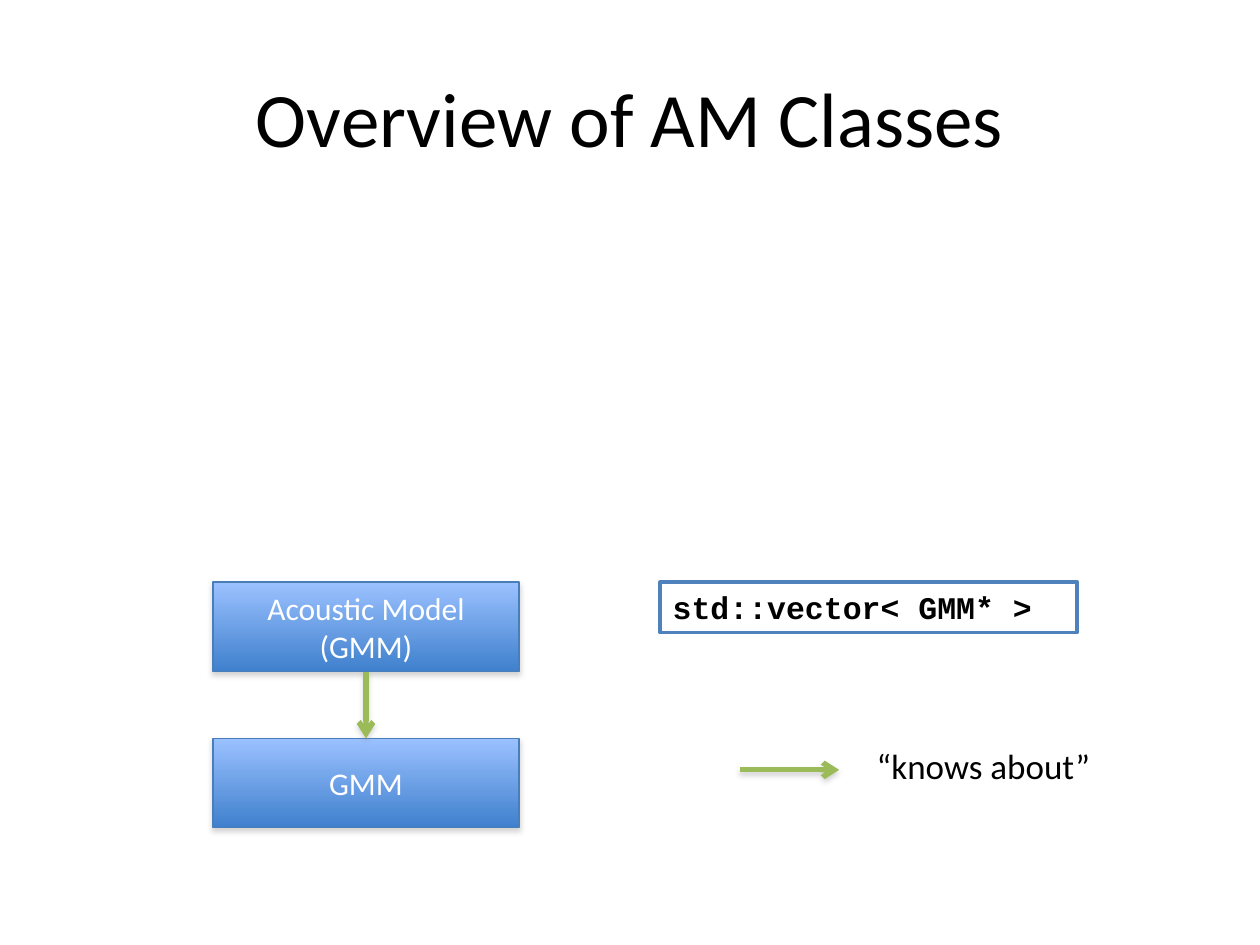
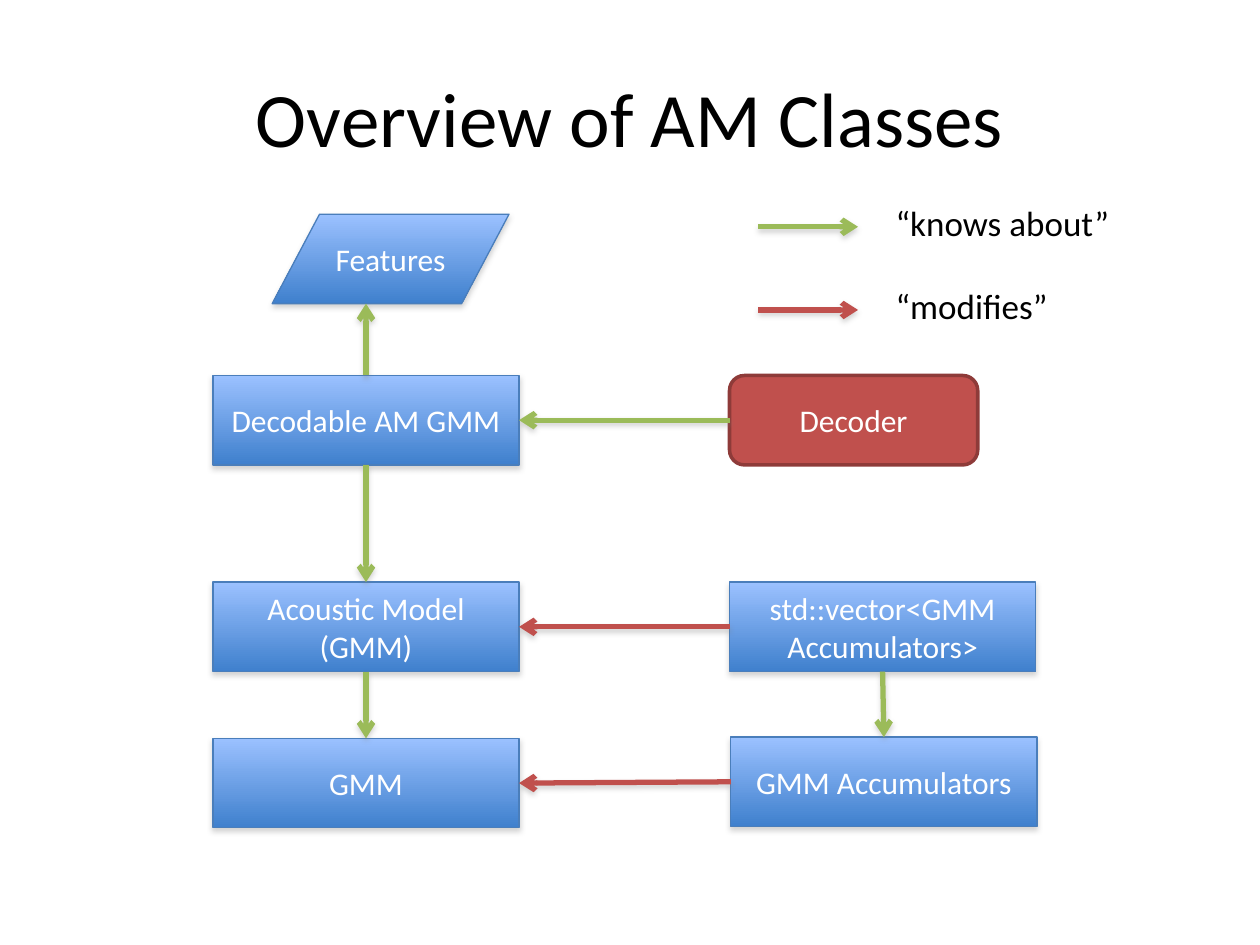
from lxml.etree import SubElement
from pptx import Presentation
from pptx.dml.color import RGBColor
from pptx.enum.shapes import MSO_CONNECTOR, MSO_SHAPE
from pptx.enum.text import MSO_ANCHOR, PP_ALIGN
from pptx.oxml.ns import qn
from pptx.util import Inches, Pt

BLACK = RGBColor(0x00, 0x00, 0x00)
WHITE = RGBColor(0xFF, 0xFF, 0xFF)
BLUE_TOP = RGBColor(0x9B, 0xC1, 0xFF)
BLUE_BOTTOM = RGBColor(0x3F, 0x80, 0xCD)
BLUE_EDGE = RGBColor(0x4A, 0x7E, 0xBB)
CODE_EDGE = RGBColor(0x4F, 0x81, 0xBD)
RED = RGBColor(0xC0, 0x50, 0x4D)
RED_EDGE = RGBColor(0x8E, 0x3B, 0x39)
GREEN = RGBColor(0x9B, 0xBB, 0x59)
SHADOW = RGBColor(0x80, 0x80, 0x80)

TITLE = "Overview of AM Classes"
KNOWS, MODIFIES = ("“knows about”", GREEN), ("“modifies”", RED)

# Grid of the diagram, in inches
LEFT_COL, RIGHT_COL = 1.69, 5.79
FEATURES_ROW, DECODE_ROW, MODEL_ROW, GMM_ROW = 1.7, 2.98, 4.62, 5.86
BOX_W, BOX_H = 2.43, 0.71
LEGEND_ARROW, LEGEND_TEXT, LEGEND_STEP = 0.79, 0.99, 0.66

TOP, LEFT, BOTTOM, RIGHT = range(4)


def write(sp, text, size, color, font="Calibri", bold=False,
          align=PP_ALIGN.CENTER, anchor=MSO_ANCHOR.MIDDLE):
    tf = sp.text_frame
    tf.word_wrap = True
    tf.vertical_anchor = anchor
    p = tf.paragraphs[0]
    p.alignment = align
    r = p.add_run()
    r.text = text
    r.font.name, r.font.size, r.font.bold = font, Pt(size), bold
    r.font.color.rgb = color


def add_text(s, x, y, w, h, text, size, **style):
    sp = s.shapes.add_textbox(Inches(x), Inches(y), Inches(w), Inches(h))
    write(sp, text, size, BLACK, **style)


def add_soft_shadow(sp):
    """Give a shape or connector the soft grey shadow below it."""
    effects = sp._element.spPr.find(qn("a:effectLst"))
    if effects is None:
        effects = SubElement(sp._element.spPr, qn("a:effectLst"))
    shadow = SubElement(effects, qn("a:outerShdw"), blurRad=str(Pt(3.1)),
                        dist=str(Pt(1.8)), dir="5400000", rotWithShape="0")
    color = SubElement(shadow, qn("a:srgbClr"), val=str(SHADOW))
    SubElement(color, qn("a:alpha"), val="35000")


def add_shape(s, kind, x, y, w, h, edge, edge_width):
    sp = s.shapes.add_shape(kind, Inches(x), Inches(y), Inches(w), Inches(h))
    sp.shadow.inherit = False
    sp.line.color.rgb = edge
    sp.line.width = Pt(edge_width)
    return sp


def add_class_box(s, x, y, text, w=BOX_W, kind=MSO_SHAPE.RECTANGLE):
    sp = add_shape(s, kind, x, y, w, BOX_H, BLUE_EDGE, 0.75)
    sp.fill.gradient()
    sp.fill.gradient_angle = 270
    for stop, color in zip(sp.fill.gradient_stops, (BLUE_TOP, BLUE_BOTTOM)):
        stop.color.rgb = color
    add_soft_shadow(sp)
    write(sp, text, 18, WHITE)
    return sp


def add_solid_shape(s, kind, x, y, w, h, fill, edge):
    sp = add_shape(s, kind, x, y, w, h, edge, 2)
    sp.fill.solid()
    sp.fill.fore_color.rgb = fill
    return sp


def add_arrow(s, color, x1=0, y1=0, x2=0, y2=0):
    line = s.shapes.add_connector(MSO_CONNECTOR.STRAIGHT, Inches(x1),
                                  Inches(y1), Inches(x2), Inches(y2))
    line.line.color.rgb = color
    line.line.width = Pt(3)
    SubElement(line.line._get_or_add_ln(), qn("a:tailEnd"), type="arrow")
    add_soft_shadow(line)
    return line


def join(s, color, start, start_side, end, end_side):
    line = add_arrow(s, color)
    line.begin_connect(start, start_side)
    line.end_connect(end, end_side)


def add_legend(s, x, y, *entries):
    for i, (text, color) in enumerate(entries):
        row = y + i * LEGEND_STEP
        add_arrow(s, color, x, row, x + LEGEND_ARROW, row)
        add_text(s, x + LEGEND_TEXT, row - 0.25, 2, 0.44, text, 20,
                 align=PP_ALIGN.LEFT, anchor=MSO_ANCHOR.TOP)


def add_model_slide(prs):
    """Add a slide with the title and the model pair that all slides share."""
    s = prs.slides.add_slide(prs.slide_layouts[6])
    add_text(s, 0.5, 0.3, 9, 1.25, TITLE, 44)
    gmm = add_class_box(s, LEFT_COL, GMM_ROW, "GMM")
    model = add_class_box(s, LEFT_COL, MODEL_ROW, "Acoustic Model (GMM)")
    join(s, GREEN, model, BOTTOM, gmm, TOP)
    return s, model, gmm


def build_model_slide(prs):
    s, _, _ = add_model_slide(prs)
    code = add_solid_shape(s, MSO_SHAPE.RECTANGLE, 5.24, MODEL_ROW, 3.31, 0.4,
                           WHITE, CODE_EDGE)
    write(code, "std::vector< GMM* >", 18, BLACK, font="Courier New",
          bold=True, align=PP_ALIGN.LEFT, anchor=MSO_ANCHOR.TOP)
    add_legend(s, 5.87, 6.11, KNOWS)


def build_decoder_slide(prs):
    s, model, gmm = add_model_slide(prs)
    accumulator = add_class_box(s, RIGHT_COL + 0.01, GMM_ROW - 0.01,
                                "GMM Accumulators")
    vector = add_class_box(s, RIGHT_COL, MODEL_ROW,
                           "std::vector<GMM Accumulators>")
    decodable = add_class_box(s, LEFT_COL, DECODE_ROW, "Decodable AM GMM")
    add_class_box(s, 2.16, FEATURES_ROW, "Features", w=1.88,
                  kind=MSO_SHAPE.FLOWCHART_DATA)
    decoder = add_solid_shape(s, MSO_SHAPE.FLOWCHART_ALTERNATE_PROCESS,
                              RIGHT_COL, DECODE_ROW, 1.97, BOX_H,
                              RED, RED_EDGE)
    write(decoder, "Decoder", 18, WHITE)

    join(s, GREEN, decodable, BOTTOM, model, TOP)
    join(s, GREEN, decoder, LEFT, decodable, RIGHT)
    join(s, GREEN, vector, BOTTOM, accumulator, TOP)
    join(s, RED, vector, LEFT, model, RIGHT)
    join(s, RED, accumulator, LEFT, gmm, RIGHT)
    middle = LEFT_COL + BOX_W / 2
    to_features = add_arrow(s, GREEN, middle, DECODE_ROW,
                            middle, FEATURES_ROW + BOX_H)
    to_features.begin_connect(decodable, TOP)
    add_legend(s, 6.02, 1.8, KNOWS, MODIFIES)


def main():
    prs = Presentation()
    prs.slide_width, prs.slide_height = Inches(10), Inches(7.5)
    build_model_slide(prs)
    build_decoder_slide(prs)
    prs.save("out.pptx")


if __name__ == "__main__":
    main()
